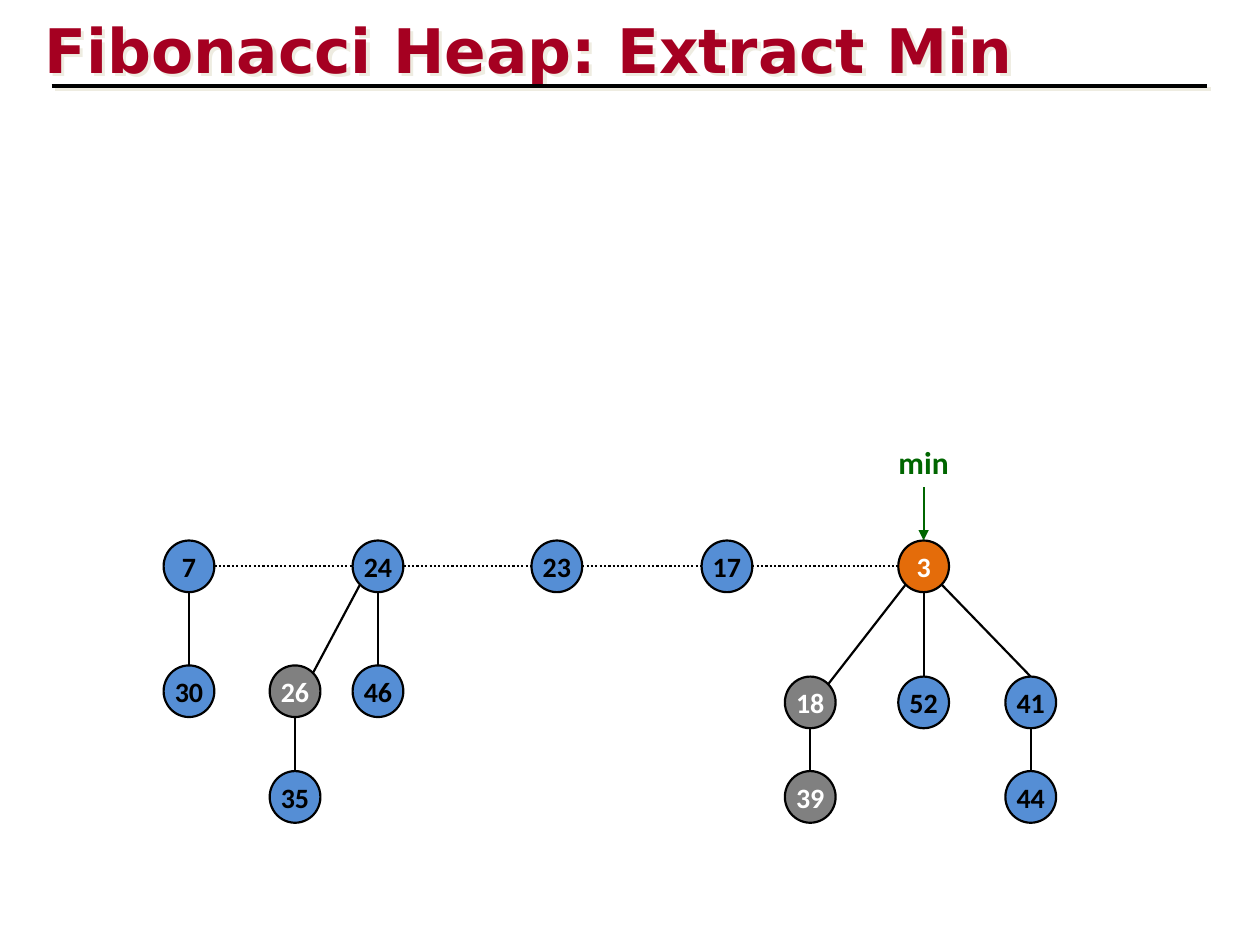
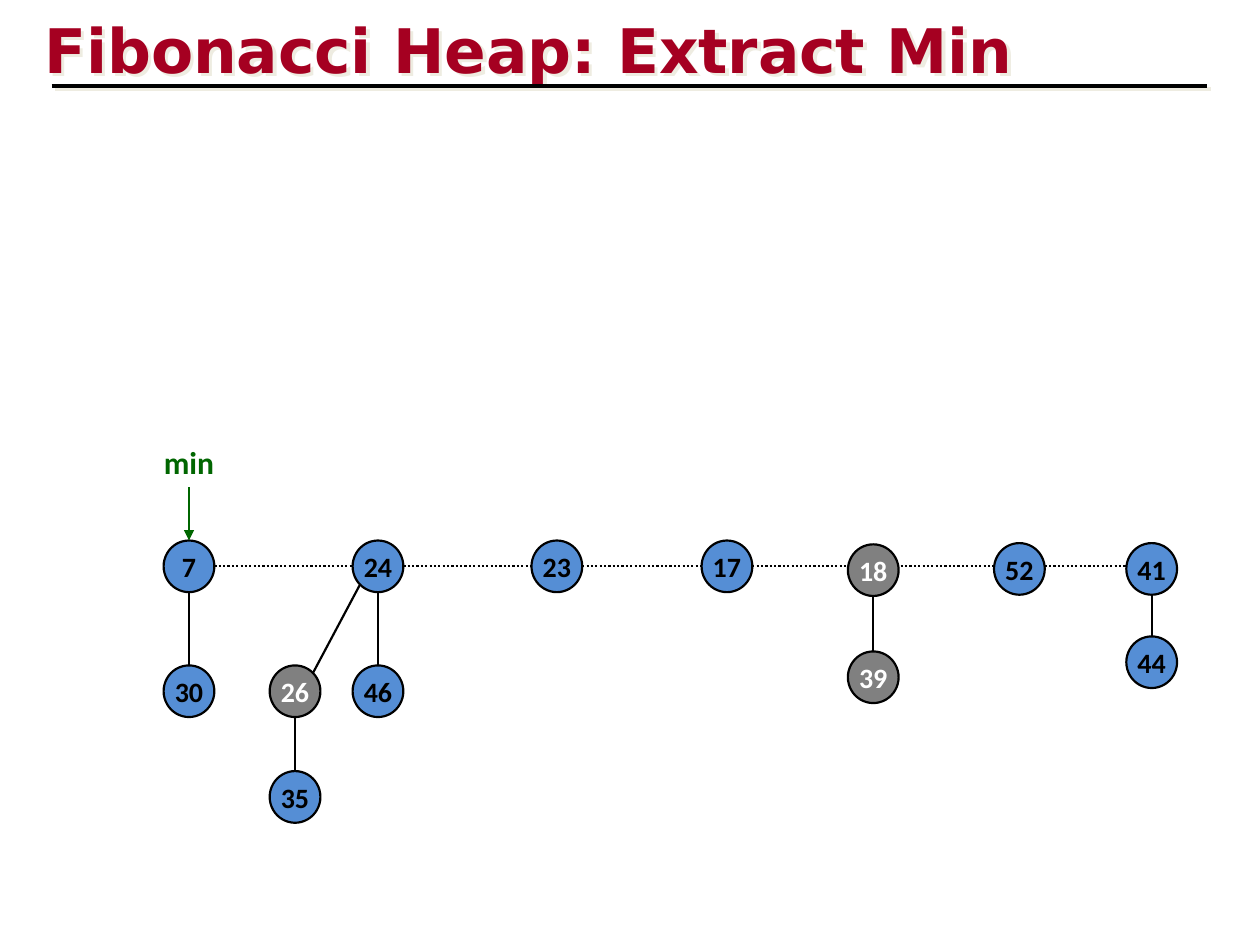
import math
from dataclasses import dataclass

import lxml.etree
import pptx
import pptx.dml.color
import pptx.enum.dml
import pptx.enum.shapes
import pptx.enum.text
import pptx.oxml
import pptx.oxml.ns
import pptx.util

Pt = pptx.util.Pt
qn = pptx.oxml.ns.qn
KINDS = pptx.enum.shapes.MSO_SHAPE
DASH = pptx.enum.dml.MSO_LINE


@dataclass(frozen=True)
class Theme:
    """Colours, fonts and sizes of the deck."""
    red: str = "A50021"
    black: str = "000000"
    white: str = "FFFFFF"
    blue: str = "558ED5"
    gray: str = "808080"
    orange: str = "E46C0A"
    green: str = "006600"
    shade: str = "EEECE1"
    head: str = "DejaVu Sans"
    body: str = "Calibri"
    title: float = 35.1
    label: float = 18
    key: float = 16
    rule: float = 2.25
    thin: float = 1.25
    wide: float = 29
    high: float = 29.5


T = Theme()
ROOT, LOW, DEEP = 74.6, 146, 206.4
BASE = {
    "7": (14.4, ROOT, T.blue), "30": (14.4, LOW, T.blue),
    "24": (122.4, ROOT, T.blue), "26": (75, LOW, T.gray),
    "35": (75, DEEP, T.blue), "46": (122.4, LOW, T.blue),
    "23": (224.6, ROOT, T.blue), "17": (321.8, ROOT, T.blue),
}
BEFORE = BASE | {
    "3": (434.2, ROOT, T.orange), "18": (369.4, 152.4, T.gray),
    "39": (369.4, DEEP, T.gray), "52": (434.2, 152.4, T.blue),
    "41": (495.4, 152.4, T.blue), "44": (495.4, DEEP, T.blue),
}
AFTER = BASE | {
    "18": (405.4, 76.8, T.gray), "39": (405.4, 138, T.gray),
    "52": (488.9, 76.1, T.blue), "41": (564.5, 76.1, T.blue),
    "44": (564.5, 129.4, T.blue),
}
EDGES = [("7", "30"), ("24", "26"), ("24", "46"), ("26", "35"),
         ("18", "39"), ("41", "44")]
CUT = [("3", "18"), ("3", "52"), ("3", "41")]
CHAIN = ["7", "24", "23", "17"]


def rgb(code):
    """Return a colour object for a hex code."""
    return pptx.dml.color.RGBColor.from_string(code)


def shadow(shape, code=None):
    """Replace the effects of a shape by none or by a soft offset shadow."""
    props = shape._element.spPr
    for old in props.findall(qn("a:effectLst")):
        props.remove(old)
    effect = lxml.etree.SubElement(props, qn("a:effectLst"))
    if code:
        outer = lxml.etree.SubElement(
            effect, qn("a:outerShdw"), dist=str(Pt(2.8)), dir="2700000",
            algn="ctr", rotWithShape="0")
        lxml.etree.SubElement(outer, qn("a:srgbClr"), val=code)


def line(shapes, start, end, code=T.black, width=T.thin, dash=None, tip=False):
    """Draw a straight line, dashed or with an arrowhead if asked."""
    item = shapes.add_connector(
        pptx.enum.shapes.MSO_CONNECTOR.STRAIGHT,
        *(Pt(round(val, 2)) for val in (*start, *end)))
    item.line.color.rgb = rgb(code)
    item.line.width = Pt(width)
    if dash:
        item.line.dash_style = dash
    if tip:
        lxml.etree.SubElement(
            item.line._get_or_add_ln(), qn("a:tailEnd"), type="triangle")
    shadow(item)
    return item


def write(para, text, size, font, code):
    """Add one bold run to a paragraph."""
    run = para.add_run()
    run.text = text
    run.font.size = Pt(size)
    run.font.name = font
    run.font.bold = True
    run.font.color.rgb = rgb(code)


def node(shapes, spot, text, size, ink, fill=None):
    """Draw an oval with centred text around a spot."""
    x, y = spot
    oval = shapes.add_shape(
        KINDS.OVAL, Pt(round(x - T.wide / 2, 2)),
        Pt(round(y - T.high / 2, 2)), Pt(T.wide), Pt(T.high))
    oval.shadow.inherit = False
    if fill:
        oval.fill.solid()
        oval.fill.fore_color.rgb = rgb(fill)
        oval.line.color.rgb = rgb(T.black)
        oval.line.width = Pt(T.thin)
    else:
        oval.fill.background()
        oval.line.fill.background()
    frame = oval.text_frame
    frame.word_wrap = False
    frame.vertical_anchor = pptx.enum.text.MSO_ANCHOR.MIDDLE
    para = frame.paragraphs[0]
    para.alignment = pptx.enum.text.PP_ALIGN.CENTER
    write(para, text, size, T.body, ink)


def rim(spot, side, down):
    """Return the point on an oval's rim to one side, above or below."""
    part = math.sqrt(0.5) if side else 1
    return (spot[0] + side * part * T.wide / 2,
            spot[1] + down * part * T.high / 2)


def header(slide, box, text):
    """Place the title and its rule in a box."""
    left, top, width, height = box
    area = slide.shapes.add_textbox(Pt(left), Pt(top), Pt(612), Pt(height))
    frame = area.text_frame
    frame.word_wrap = True
    frame.margin_left, frame.margin_top = Pt(5.2), Pt(6.1)
    write(frame.paragraphs[0], text, T.title, T.head, T.red)
    shadow(area, T.shade)
    base = top + height
    bar = line(slide.shapes, (left + 9.3, base), (left + width, base),
               width=T.rule)
    shadow(bar, T.shade)


def pointer(slide, spot, top):
    """Place the min label and its arrow above a root."""
    group = slide.shapes.add_group_shape().shapes
    mid = (spot[0], top + T.high / 2)
    line(group, rim(mid, 0, 1), rim(spot, 0, -1), T.green, tip=True)
    node(group, mid, "min", T.label, T.green)


def forest(slide, box, nodes, edges, chain, least):
    """Place the heap's trees, root list and min pointer in a box."""
    left, top = box
    spots = {key: (left + x, top + y) for key, (x, y, _) in nodes.items()}
    level = top + ROOT
    for one, two in zip(chain, chain[1:]):
        line(slide.shapes, (spots[one][0] + T.wide / 2, level),
             (spots[two][0] - T.wide / 2, level), dash=DASH.ROUND_DOT)
    for one, two in edges:
        gap = spots[two][0] - spots[one][0]
        side = (gap > 0) - (gap < 0)
        near = 0 if side > 0 else -side
        line(slide.shapes, rim(spots[one], side, 1), rim(spots[two], near, -1))
    for key, (_, _, fill) in nodes.items():
        ink = T.black if fill == T.blue else T.white
        node(slide.shapes, spots[key], key, T.key, ink, fill)
    pointer(slide, spots[least], top)


def main():
    """Build the deck and save it."""
    deck = pptx.Presentation()
    deck.slide_width, deck.slide_height = Pt(720), Pt(540)
    steps = [(BEFORE, EDGES + CUT, CHAIN + ["3"], "3"),
             (AFTER, EDGES, CHAIN + ["41"], "7")]
    for step in steps:
        slide = deck.slides.add_slide(deck.slide_layouts[6])
        header(slide, (20.2, 0.7, 669.6, 48.2), "Fibonacci Heap: Extract Min")
        forest(slide, (93.6, 249), *step)
    deck.save("out.pptx")


main()
